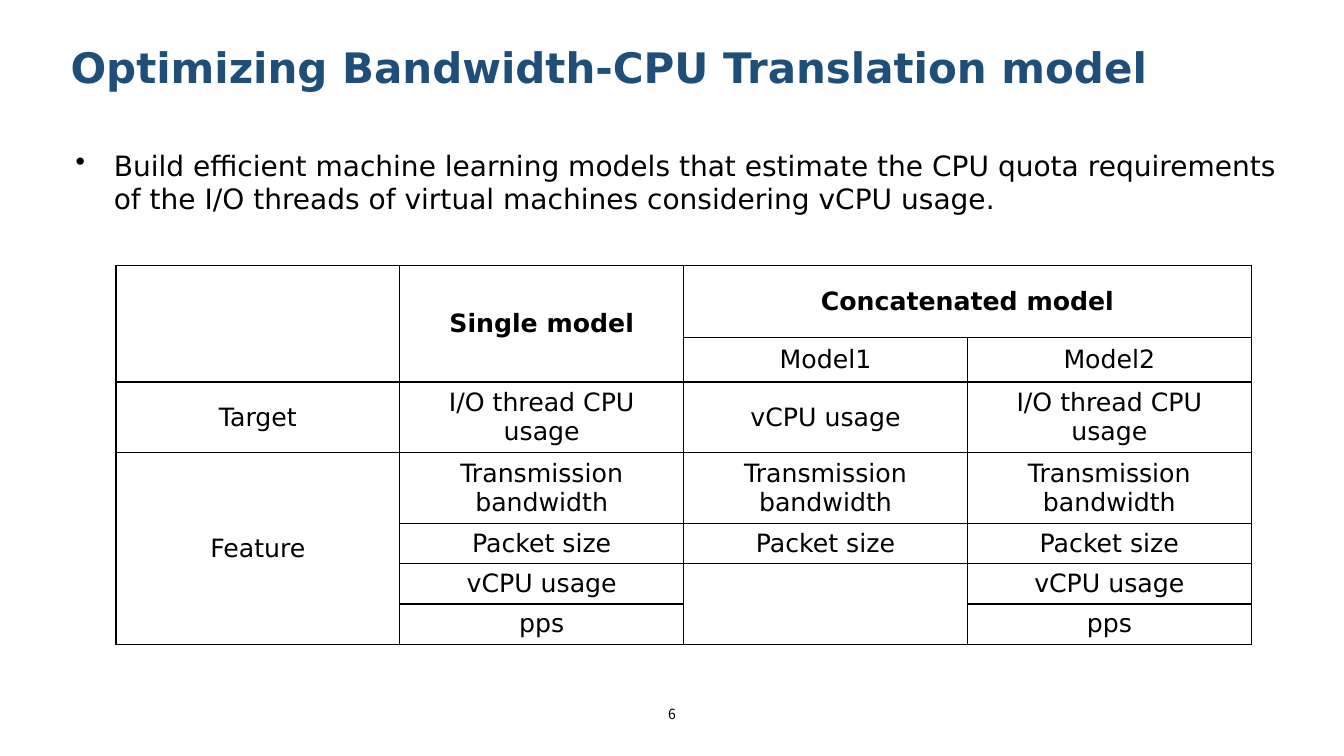
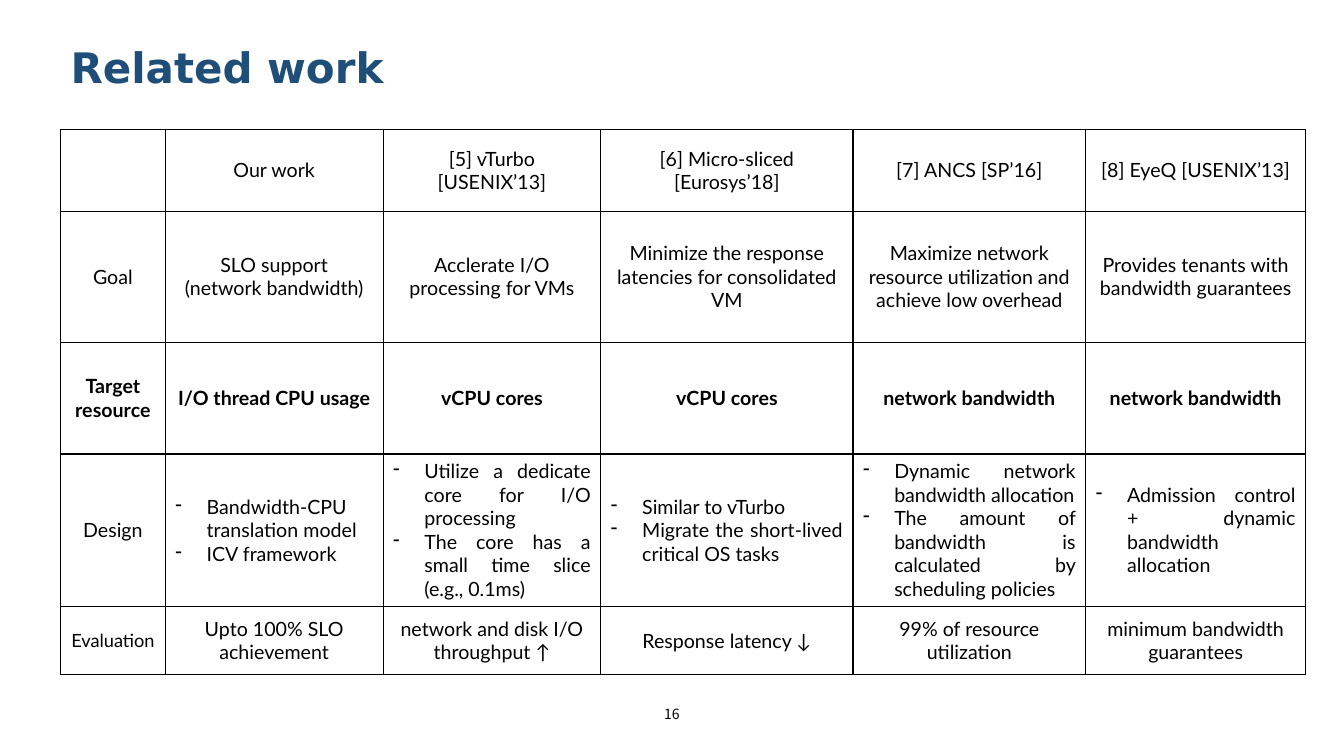
from dataclasses import dataclass, replace
from typing import Optional

import lxml.etree
import pptx
import pptx.dml.color
import pptx.enum.text
import pptx.oxml.ns
import pptx.presentation
import pptx.slide
import pptx.table
import pptx.text.text
import pptx.util

ALIGN = pptx.enum.text.PP_ALIGN
ANCHOR = pptx.enum.text.MSO_ANCHOR
SLIDE_WIDTH = pptx.util.Inches(13.33)
SLIDE_HEIGHT = pptx.util.Inches(7.5)
TITLE_ONLY_LAYOUT = 5


@dataclass(frozen=True)
class TextStyle:
    font: str
    size: float
    color: str = "000000"
    bold: bool = False
    align: ALIGN = ALIGN.CENTER
    bullet: str = ""
    hanging: float = 0


@dataclass(frozen=True)
class Theme:
    title: TextStyle = TextStyle("DejaVu Sans", 30, "1F4E79", True, ALIGN.LEFT)
    body: TextStyle = TextStyle("DejaVu Sans", 20, align=ALIGN.LEFT, bullet="•", hanging=0.38)
    page_number: TextStyle = TextStyle("Noto Sans CJK KR", 10)
    model_cell: TextStyle = TextStyle("DejaVu Sans", 18)
    work_cell: TextStyle = TextStyle("Lato", 14)
    tight_label_size: float = 13
    border_color: str = "000000"
    border_width: float = 1


THEME = Theme()


@dataclass(frozen=True)
class Area:
    """A box in percent of the slide's width and height."""
    left: float
    top: float
    width: float
    height: float

    def emu(self) -> tuple[int, int, int, int]:
        return (
            int(SLIDE_WIDTH * self.left / 100),
            int(SLIDE_HEIGHT * self.top / 100),
            int(SLIDE_WIDTH * self.width / 100),
            int(SLIDE_HEIGHT * self.height / 100),
        )


TITLE_AREA = Area(4.5, 4.8, 91, 8.13)
BODY_AREA = Area(4.88, 18.93, 91.45, 14.8)
PAGE_NUMBER_AREA = Area(48.65, 92.7, 2.7, 3.6)


@dataclass(frozen=True)
class Merge:
    row: int
    column: int
    rows: int
    columns: int


@dataclass(frozen=True)
class Grid:
    """Table content; column and row weights share out the area."""
    area: Area
    column_weights: tuple[float, ...]
    row_weights: tuple[float, ...]
    rows: tuple[tuple[str, ...], ...]
    style: TextStyle
    bold_row: int
    list_row: Optional[int] = None
    merges: tuple[Merge, ...] = ()
    tight_label: str = ""

    def cell_style(self, row: int, column: int) -> TextStyle:
        style = replace(self.style, bold=row == self.bold_row)
        if row == self.list_row and column > 0:
            style = replace(style, align=ALIGN.JUSTIFY, bullet="-", hanging=0.31)
        if self.rows[row][column] == self.tight_label:
            style = replace(style, size=THEME.tight_label_size)
        return style


@dataclass(frozen=True)
class Page:
    title: str
    number: str
    grid: Grid
    body: str = ""


MODELS = Grid(
    area=Area(8.63, 35.07, 84.47, 50.13),
    column_weights=(1, 1, 1, 1),
    row_weights=(0.72, 0.44, 0.7, 0.7, 0.4, 0.4, 0.4),
    rows=(
        ("", "Single model", "Concatenated model", ""),
        ("", "", "Model1", "Model2"),
        ("Target", "I/O thread CPU usage", "vCPU usage", "I/O thread CPU usage"),
        ("Feature",) + ("Transmission bandwidth",) * 3,
        ("",) + ("Packet size",) * 3,
        ("", "vCPU usage", "", "vCPU usage"),
        ("", "pps", "", "pps"),
    ),
    style=THEME.model_cell,
    bold_row=0,
    merges=(Merge(0, 0, 2, 1), Merge(0, 1, 2, 1), Merge(0, 2, 1, 2),
            Merge(3, 0, 4, 1), Merge(5, 2, 2, 1)),
)

RELATED_WORK = Grid(
    area=Area(4.5, 17.13, 92.65, 72.13),
    column_weights=(1.04, 2.16, 2.16, 2.5, 2.31, 2.18),
    row_weights=(0.81, 1.3, 1.11, 1.51, 0.68),
    rows=(
        ("", "Our work", "[5] vTurbo [USENIX’13]", "[6] Micro-sliced [Eurosys’18]",
         "[7] ANCS [SP’16]", "[8] EyeQ [USENIX’13]"),
        ("Goal", "SLO support\n(network bandwidth)", "Acclerate I/O processing for VMs",
         "Minimize the response latencies for consolidated VM",
         "Maximize network resource utilization and achieve low overhead",
         "Provides tenants with bandwidth guarantees"),
        ("Target resource", "I/O thread CPU usage", "vCPU cores", "vCPU cores",
         "network bandwidth", "network bandwidth"),
        ("Design", "Bandwidth-CPU translation model\nICV framework",
         "Utilize a dedicate core for I/O processing\n"
         "The core has a small time slice (e.g., 0.1ms)",
         "Similar to vTurbo\nMigrate the short-lived critical OS tasks",
         "Dynamic network bandwidth allocation\n"
         "The amount of bandwidth is calculated by scheduling policies",
         "Admission control + dynamic bandwidth allocation"),
        ("Evaluation", "Upto 100% SLO achievement", "network and disk I/O throughput ↑",
         "Response latency ↓", "99% of resource utilization", "minimum bandwidth guarantees"),
    ),
    style=THEME.work_cell,
    bold_row=2,
    list_row=3,
    tight_label="Evaluation",
)

PAGES = (
    Page(
        "Optimizing Bandwidth-CPU Translation model", "6", MODELS,
        "Build efficient machine learning models that estimate the CPU quota requirements\v"
        "of the I/O threads of virtual machines considering vCPU usage.",
    ),
    Page("Related work", "16", RELATED_WORK),
)


def add_bullet(paragraph: pptx.text.text._Paragraph, style: TextStyle) -> None:
    properties = paragraph._p.get_or_add_pPr()
    indent = pptx.util.Inches(style.hanging)
    properties.set("marL", str(indent))
    properties.set("indent", str(-indent))
    mark = lxml.etree.SubElement(properties, pptx.oxml.ns.qn("a:buChar"))
    mark.set("char", style.bullet)


def write(frame: pptx.text.text.TextFrame, text: str, style: TextStyle) -> None:
    """Fill a frame: a newline starts a paragraph, a vertical tab breaks a line."""
    frame.text = text
    for paragraph in frame.paragraphs:
        paragraph.alignment = style.align
        if style.bullet:
            add_bullet(paragraph, style)
        font = paragraph.font
        font.name = style.font
        font.size = pptx.util.Pt(style.size)
        font.bold = style.bold
        font.color.rgb = pptx.dml.color.RGBColor.from_string(style.color)


def add_title(slide: pptx.slide.Slide, text: str) -> None:
    title = slide.shapes.title
    title.left, title.top, title.width, title.height = TITLE_AREA.emu()
    frame = title.text_frame
    frame.word_wrap = True
    frame.auto_size = pptx.enum.text.MSO_AUTO_SIZE.NONE
    frame.vertical_anchor = ANCHOR.TOP
    write(frame, text, THEME.title)


def add_text(slide: pptx.slide.Slide, area: Area, text: str, style: TextStyle) -> None:
    frame = slide.shapes.add_textbox(*area.emu()).text_frame
    frame.word_wrap = False
    write(frame, text, style)


def outline(cell: pptx.table._Cell) -> None:
    qn = pptx.oxml.ns.qn
    properties = cell._tc.get_or_add_tcPr()
    for side in ("a:lnL", "a:lnR", "a:lnT", "a:lnB"):
        line = lxml.etree.SubElement(properties, qn(side))
        line.set("w", str(pptx.util.Pt(THEME.border_width)))
        fill = lxml.etree.SubElement(line, qn("a:solidFill"))
        lxml.etree.SubElement(fill, qn("a:srgbClr")).set("val", THEME.border_color)


def add_grid(slide: pptx.slide.Slide, grid: Grid) -> None:
    left, top, width, height = grid.area.emu()
    table = slide.shapes.add_table(
        len(grid.row_weights), len(grid.column_weights), left, top, width, height).table
    table.first_row = False
    table.horz_banding = False
    for column, weight in zip(table.columns, grid.column_weights):
        column.width = int(width * weight / sum(grid.column_weights))
    for row, weight in zip(table.rows, grid.row_weights):
        row.height = int(height * weight / sum(grid.row_weights))
    for row_index, texts in enumerate(grid.rows):
        for column_index, text in enumerate(texts):
            cell = table.cell(row_index, column_index)
            outline(cell)
            cell.fill.background()
            cell.vertical_anchor = ANCHOR.MIDDLE
            if text:
                write(cell.text_frame, text, grid.cell_style(row_index, column_index))
    for merge in grid.merges:
        last = table.cell(merge.row + merge.rows - 1, merge.column + merge.columns - 1)
        table.cell(merge.row, merge.column).merge(last)


def add_page(deck: pptx.presentation.Presentation, page: Page) -> None:
    slide = deck.slides.add_slide(deck.slide_layouts[TITLE_ONLY_LAYOUT])
    add_title(slide, page.title)
    if page.body:
        add_text(slide, BODY_AREA, page.body, THEME.body)
    add_text(slide, PAGE_NUMBER_AREA, page.number, THEME.page_number)
    add_grid(slide, page.grid)


def main() -> None:
    deck = pptx.Presentation()
    deck.slide_width = SLIDE_WIDTH
    deck.slide_height = SLIDE_HEIGHT
    for page in PAGES:
        add_page(deck, page)
    deck.save("out.pptx")


if __name__ == "__main__":
    main()
